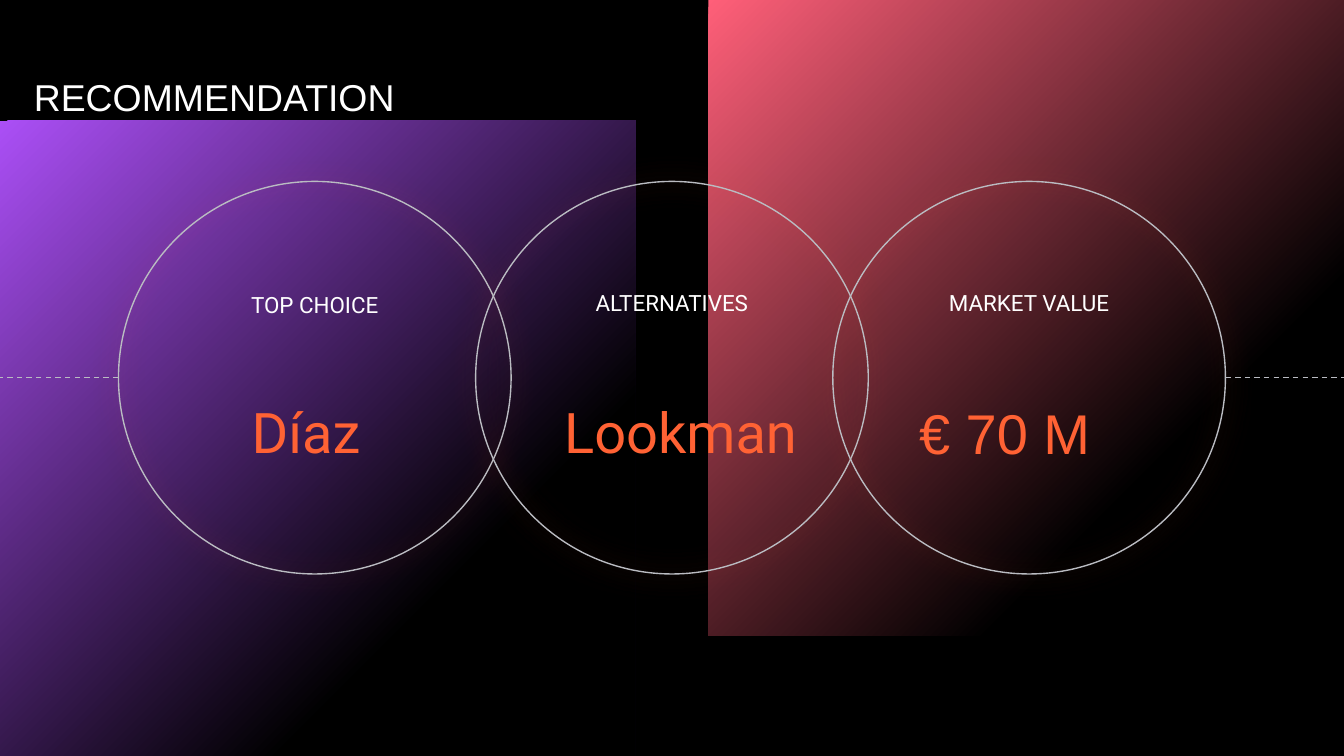
from lxml.etree import SubElement
from pptx import Presentation
from pptx.dml.color import RGBColor
from pptx.enum.dml import MSO_LINE
from pptx.enum.shapes import MSO_CONNECTOR, MSO_SHAPE
from pptx.enum.text import MSO_ANCHOR, PP_ALIGN
from pptx.oxml.ns import qn
from pptx.util import Cm, Pt

COLORS = {
    "black": "000000",
    "white": "FFFFFF",
    "purple": "AB4FF6",
    "pink": "FF5F79",
    "orange": "FF6234",
    "gray": "BABCC2",
}
WIDTH, HEIGHT = 25.4, 14.29
PANEL = 12.01
RING, LEFT, TOP, STEP = 7.42, 2.24, 3.43, 6.75
MIDDLE = TOP + RING / 2


def color(name):
    return RGBColor.from_string(COLORS[name])


def add_panel(slide, left, top, name):
    panel = slide.shapes.add_shape(
        MSO_SHAPE.RECTANGLE, Cm(left), Cm(top), Cm(PANEL), Cm(PANEL))
    panel.shadow.inherit = False
    panel.line.fill.background()
    panel.fill.gradient()
    panel.fill.gradient_angle = 315
    stops = panel.fill.gradient_stops
    for stop, place, shade in zip(stops, (0, 0.72), (name, "black")):
        stop.position = place
        stop.color.rgb = color(shade)


def add_glow(shape):
    effects = shape.element.spPr.find(qn("a:effectLst"))
    glow = SubElement(effects, qn("a:outerShdw"), blurRad=str(Pt(13.5)),
                      dist="0", dir="0", algn="ctr", rotWithShape="0")
    tint = SubElement(glow, qn("a:srgbClr"), val=COLORS["orange"])
    SubElement(tint, qn("a:alpha"), val="50000")


def add_ring(slide, left):
    ring = slide.shapes.add_shape(
        MSO_SHAPE.ROUNDED_RECTANGLE, Cm(left), Cm(TOP), Cm(RING), Cm(RING))
    ring.adjustments[0] = 0.5
    ring.shadow.inherit = False
    ring.fill.background()
    ring.line.color.rgb = color("gray")
    ring.line.width = Pt(0.75)
    add_glow(ring)
    return ring


def add_dash(slide, ring, side, end):
    dash = slide.shapes.add_connector(
        MSO_CONNECTOR.STRAIGHT, Cm(end), Cm(MIDDLE), Cm(end), Cm(MIDDLE))
    dash.begin_connect(ring, side)
    dash.line.color.rgb = color("gray")
    dash.line.width = Pt(0.75)
    dash.line.dash_style = MSO_LINE.DASH
    SubElement(dash.element.spPr, qn("a:effectLst"))


def add_text(slide, text, box, size, shade, font="Roboto", spacing=0.95,
             align=PP_ALIGN.CENTER, anchor=MSO_ANCHOR.MIDDLE):
    frame = slide.shapes.add_textbox(*map(Cm, box)).text_frame
    frame.word_wrap = True
    frame.vertical_anchor = anchor
    frame.margin_left = frame.margin_right = 0
    frame.margin_top = frame.margin_bottom = 0
    para = frame.paragraphs[0]
    para.alignment = align
    para.line_spacing = spacing
    run = para.add_run()
    run.text = text
    run.font.name = font
    run.font.size = Pt(size)
    run.font.color.rgb = color(shade)


def main():
    deck = Presentation()
    deck.slide_width, deck.slide_height = Cm(WIDTH), Cm(HEIGHT)
    slide = deck.slides.add_slide(deck.slide_layouts[6])
    slide.background.fill.solid()
    slide.background.fill.fore_color.rgb = color("black")

    add_panel(slide, 0, HEIGHT - PANEL, "purple")
    add_panel(slide, WIDTH - PANEL, 0, "pink")

    lefts = [LEFT + STEP * i for i in range(3)]
    rings = [add_ring(slide, left) for left in lefts]
    add_dash(slide, rings[0], 1, 0)
    add_dash(slide, rings[-1], 3, WIDTH)

    plain = {"font": "Arial", "align": PP_ALIGN.LEFT,
             "anchor": MSO_ANCHOR.TOP}
    add_text(slide, "RECOMMENDATION", (0.64, 1.27, 11.56, 1.3), 20, "white",
             spacing=1.15, **plain)

    labels = [("TOP CHOICE", 5.05), ("ALTERNATIVES", 5), ("MARKET VALUE", 5)]
    for left, (label, top) in zip(lefts, labels):
        add_text(slide, label, (left, top, RING, 1.47), 12, "white")

    for name, left in (("Díaz", 3.51), ("Lookman", 10.59)):
        add_text(slide, name, (left, 7.47, 4.55, 1.47), 30, "orange")
    add_text(slide, "€ 70 M", (17.37, 7.54, 4.29, 1.3), 30, "orange",
             spacing=1.0, **plain)

    deck.save("out.pptx")


if __name__ == "__main__":
    main()
